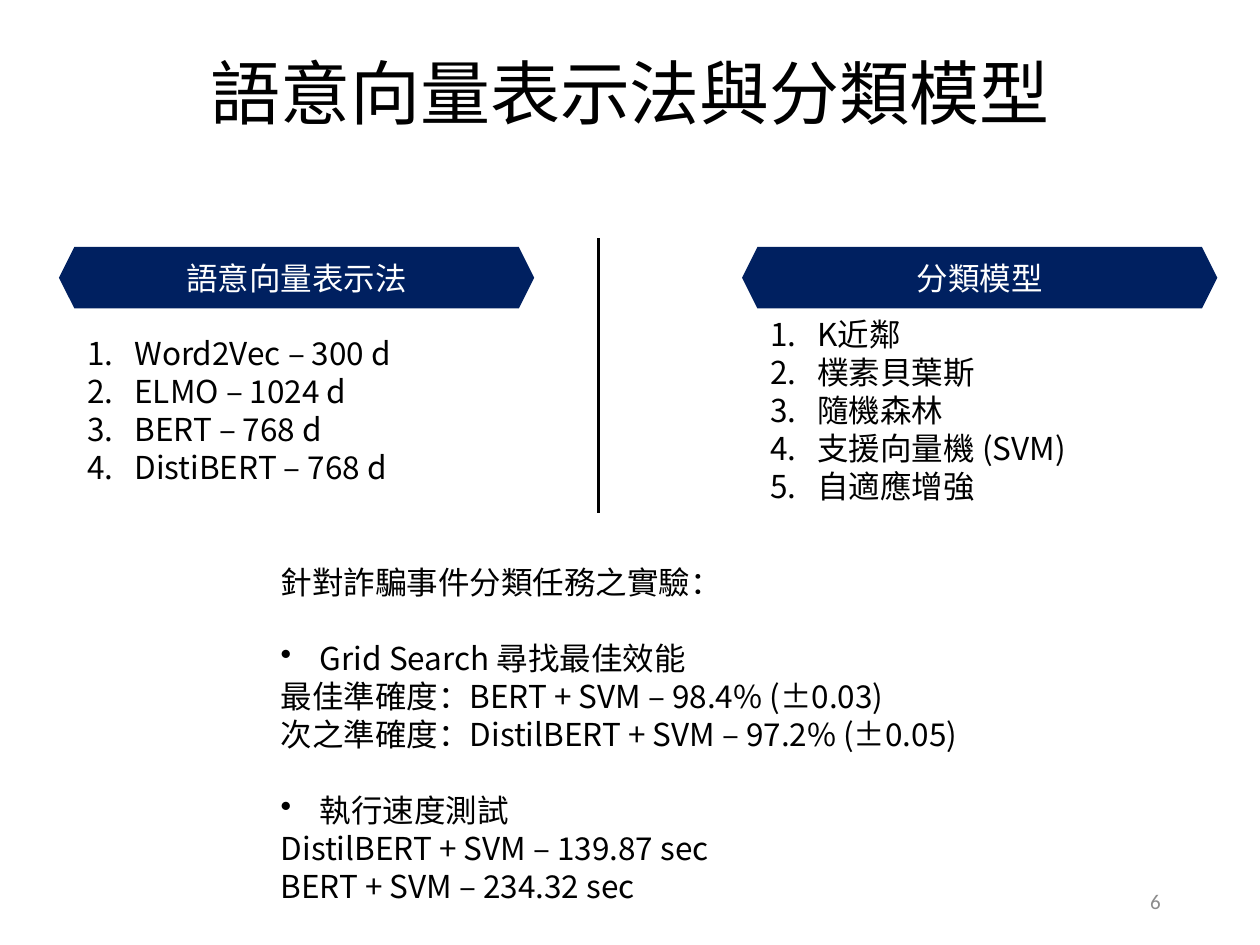
from dataclasses import dataclass

from lxml import etree
from pptx import Presentation
from pptx.dml.color import RGBColor
from pptx.enum.shapes import MSO_CONNECTOR, MSO_SHAPE
from pptx.enum.text import MSO_ANCHOR, MSO_AUTO_SIZE, PP_ALIGN
from pptx.oxml.ns import qn
from pptx.slide import Slide
from pptx.text.text import TextFrame
from pptx.util import Cm, Pt

LEFT, CENTER, RIGHT = PP_ALIGN.LEFT, PP_ALIGN.CENTER, PP_ALIGN.RIGHT
TOP, MIDDLE = MSO_ANCHOR.TOP, MSO_ANCHOR.MIDDLE
FIT_TEXT, FIXED = MSO_AUTO_SIZE.SHAPE_TO_FIT_TEXT, MSO_AUTO_SIZE.NONE
HEXAGON, STRAIGHT = MSO_SHAPE.HEXAGON, MSO_CONNECTOR.STRAIGHT


@dataclass(frozen=True)
class Theme:
    text: RGBColor = RGBColor(0x00, 0x00, 0x00)
    banner: RGBColor = RGBColor(0x00, 0x20, 0x60)
    banner_text: RGBColor = RGBColor(0xFF, 0xFF, 0xFF)
    muted: RGBColor = RGBColor(0x8C, 0x8C, 0x8C)
    font: str = "Noto Sans CJK SC"
    number_font: str = "Calibri"
    title_size: Pt = Pt(40)
    body_size: Pt = Pt(18)
    number_size: Pt = Pt(12)
    body_line: Pt = Pt(21.7)


THEME = Theme()


@dataclass(frozen=True)
class Box:
    left: float
    top: float
    width: float
    height: float

    def lengths(self) -> tuple[Cm, Cm, Cm, Cm]:
        return Cm(self.left), Cm(self.top), Cm(self.width), Cm(self.height)


@dataclass(frozen=True)
class Line:
    text: str
    marker: str = ""  # "number", "dot" or none
    gap: bool = False  # one free line above


@dataclass(frozen=True)
class Style:
    size: Pt = THEME.body_size
    color: RGBColor = THEME.text
    font: str = THEME.font
    alignment: PP_ALIGN = LEFT
    anchor: MSO_ANCHOR = TOP
    auto_size: MSO_AUTO_SIZE = FIT_TEXT
    line_spacing: float | Pt = THEME.body_line
    wrap: bool = True


@dataclass(frozen=True)
class Column:
    heading: str
    left: float
    list_top: float
    list_height: float
    items: tuple[str, ...]


BODY = Style()
RESULTS = Style(wrap=False)
BANNER = Style(color=THEME.banner_text, alignment=CENTER, anchor=MIDDLE, auto_size=FIXED)
TITLE = Style(size=THEME.title_size, alignment=CENTER, anchor=MIDDLE,
              auto_size=FIXED, line_spacing=0.9)
NUMBER = Style(size=THEME.number_size, color=THEME.muted, font=THEME.number_font,
               alignment=RIGHT, anchor=MIDDLE, auto_size=FIXED, line_spacing=1.0)

MARKERS = {
    "number": (Cm(0.95), "a:buAutoNum", {"type": "arabicPeriod"}),
    "dot": (Cm(0.79), "a:buChar", {"char": "•"}),
}

COLUMNS = (
    Column("語意向量表示法", 1.19, 6.6, 3.33,
           ("Word2Vec – 300 d", "ELMO – 1024 d", "BERT – 768 d", "DistiBERT – 768 d")),
    Column("分類模型", 14.96, 6.22, 4.11,
           ("K近鄰", "樸素貝葉斯", "隨機森林", "支援向量機 (SVM)", "自適應增強")),
)

EXPERIMENT = (
    Line("針對詐騙事件分類任務之實驗："),
    Line("Grid Search 尋找最佳效能", "dot", True),
    Line("最佳準確度：BERT + SVM – 98.4% (±0.03)"),
    Line("次之準確度：DistilBERT + SVM – 97.2% (±0.05)"),
    Line("執行速度測試", "dot", True),
    Line("DistilBERT + SVM – 139.87 sec"),
    Line("BERT + SVM – 234.32 sec"),
)


def write_lines(frame: TextFrame, lines: tuple[Line, ...], style: Style) -> None:
    frame_format = {"word_wrap": style.wrap, "auto_size": style.auto_size,
                    "vertical_anchor": style.anchor}
    for name, value in frame_format.items():
        setattr(frame, name, value)
    for index, line in enumerate(lines):
        paragraph = frame.paragraphs[0] if index == 0 else frame.add_paragraph()
        paragraph_format = {"alignment": style.alignment,
                            "line_spacing": style.line_spacing,
                            "space_before": THEME.body_line if line.gap else Pt(0)}
        for name, value in paragraph_format.items():
            setattr(paragraph, name, value)
        if line.marker:
            indent, tag, attributes = MARKERS[line.marker]
            properties = paragraph._p.get_or_add_pPr()
            properties.set("marL", str(indent))
            properties.set("indent", str(-indent))
            etree.SubElement(properties, qn(tag), attributes)
        run = paragraph.add_run()
        run.text = line.text
        for name, value in {"size": style.size, "name": style.font}.items():
            setattr(run.font, name, value)
        run.font.color.rgb = style.color
        # East Asian glyphs take their own typeface entry
        etree.SubElement(run._r.get_or_add_rPr(), qn("a:ea"), {"typeface": style.font})


def add_text(slide: Slide, box: Box, lines: tuple[Line, ...], style: Style) -> None:
    shape = slide.shapes.add_textbox(*box.lengths())
    write_lines(shape.text_frame, lines, style)


def add_banner(slide: Slide, box: Box, heading: str) -> None:
    shape = slide.shapes.add_shape(HEXAGON, *box.lengths())
    shape.shadow.inherit = False
    shape.fill.solid()
    shape.fill.fore_color.rgb = THEME.banner
    shape.line.fill.background()
    write_lines(shape.text_frame, (Line(heading),), BANNER)


def add_divider(slide: Slide, x: float, top: float, bottom: float) -> None:
    divider = slide.shapes.add_connector(STRAIGHT, Cm(x), Cm(top), Cm(x), Cm(bottom))
    divider.line.color.rgb = THEME.text
    divider.line.width = Pt(1.5)
    etree.SubElement(divider._element.spPr, qn("a:effectLst"))


def add_column(slide: Slide, column: Column) -> None:
    add_banner(slide, Box(column.left, 4.98, 9.58, 1.24), column.heading)
    add_text(slide, Box(column.left + 0.32, column.list_top, 8.97, column.list_height),
             tuple(Line(item, "number") for item in column.items), BODY)


def main() -> None:
    presentation = Presentation()
    presentation.slide_width, presentation.slide_height = Cm(25.4), Cm(19.05)
    slide = presentation.slides.add_slide(presentation.slide_layouts[6])

    # Title and page number
    add_text(slide, Box(0.56, 0.56, 24.28, 2.77), (Line("語意向量表示法與分類模型"),), TITLE)
    add_text(slide, Box(17.93, 17.65, 5.72, 1.02), (Line("6"),), NUMBER)

    # Two columns with a divider
    add_divider(slide, 12.07, 4.8, 10.34)
    for column in COLUMNS:
        add_column(slide, column)

    # Experiment results
    add_text(slide, Box(5.41, 11.23, 14.35, 7.19), EXPERIMENT, RESULTS)

    presentation.save("out.pptx")


if __name__ == "__main__":
    main()
